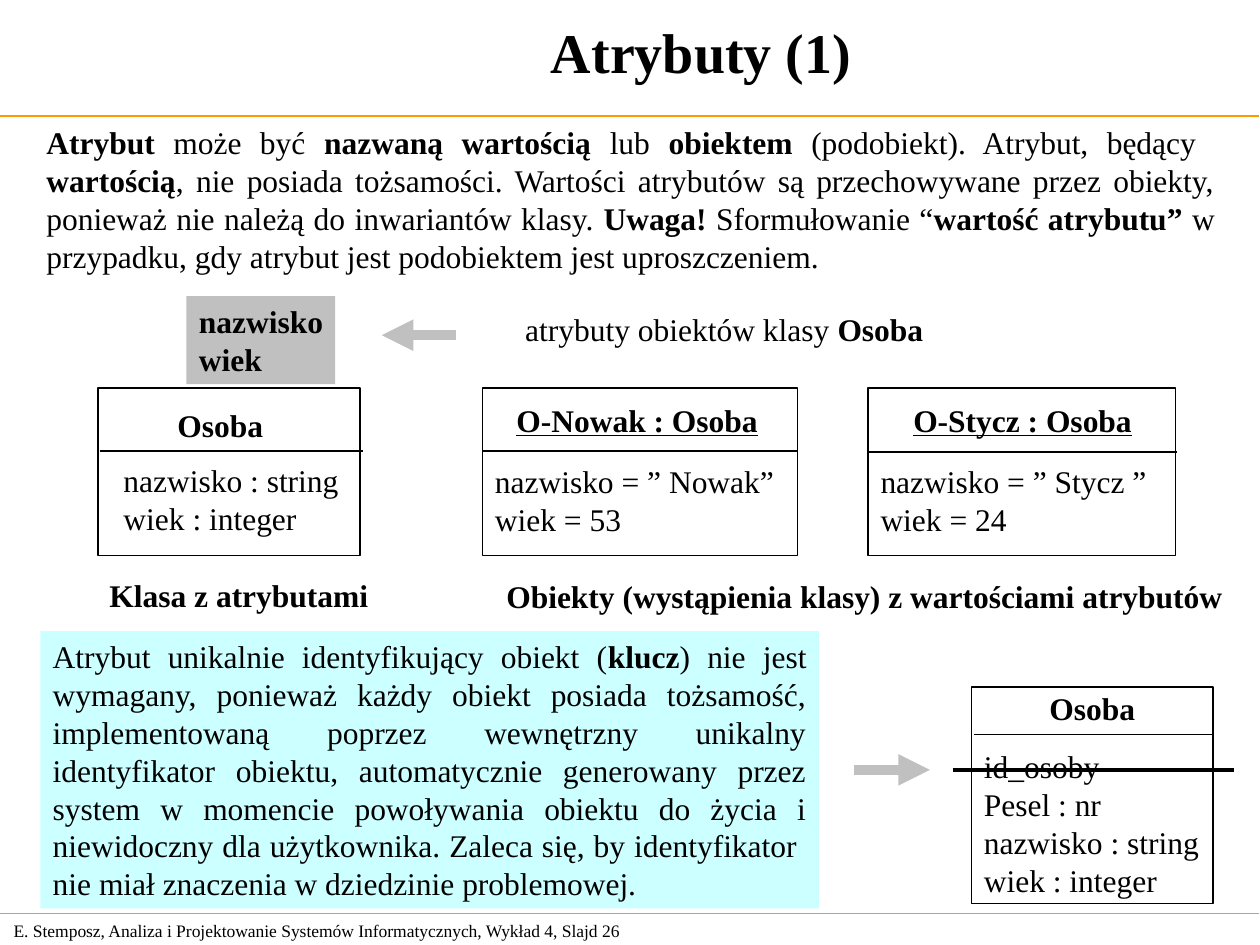
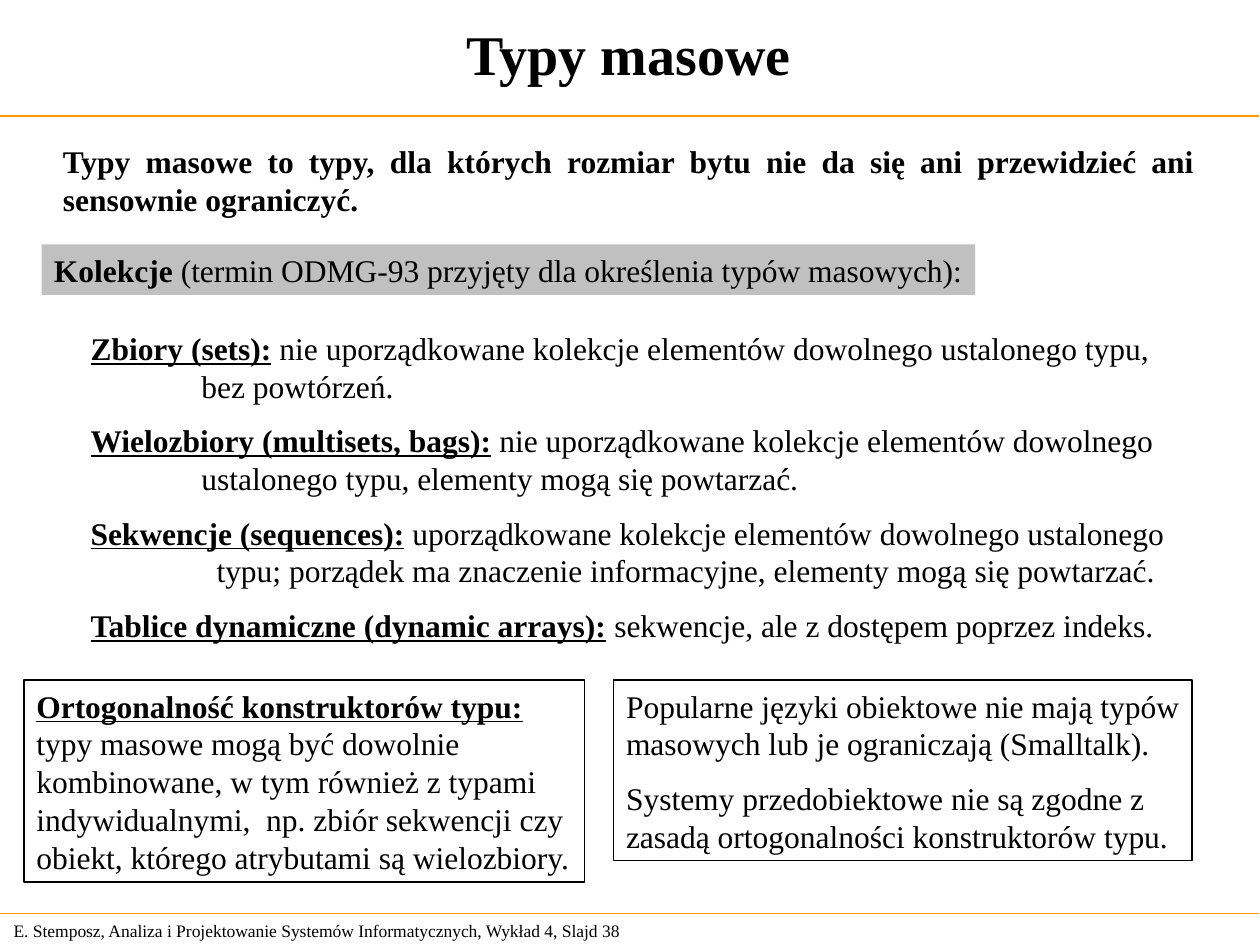
"""Builds two lecture slides on attributes and collection types."""
from lxml import etree
from pptx import Presentation
from pptx import util as u
from pptx.dml.color import RGBColor
from pptx.enum import shapes, text
from pptx.oxml.ns import qn

PX = 9144
FONT = "Times New Roman"
BLACK, ORANGE, GREY, CYAN = "000000", "FF9900", "C0C0C0", "CCFFFF"
BODY_SIZE, TITLE_SIZE, FOOTER_SIZE = 18, 32, 10
GAP = 9.5
PROSE_MARGIN = 10
JUSTIFY, CENTER = text.PP_ALIGN.JUSTIFY, text.PP_ALIGN.CENTER
MIDDLE = text.MSO_ANCHOR.MIDDLE

FOOTER = "E. Stemposz, Analiza i Projektowanie Systemów Informatycznych, Wykład 4, Slajd {}"
FOOTER_AT = (1, 725, 524, 27)
RULES = [(92, 1), (725, 0.75)]

ATTRIBUTE_INTRO = [
    ("Atrybut ", "b"), ("może być", ""), (" nazwaną wartością ", "b"), ("lub ", ""),
    ("obiektem ", "b"), ("(podobiekt). Atrybut, będący  ", ""), ("wartością", "b"),
    (", nie posiada tożsamości. Wartości atrybutów są przechowywane przez obiekty, "
     "ponieważ nie należą do inwariantów klasy. ", ""),
    ("Uwaga!", "b"), (" Sformułowanie “", ""), ("wartość atrybutu”", "b"),
    (" w przypadku, gdy atrybut jest podobiektem jest uproszczeniem.", ""),
]
KEY_NOTE = [
    ("Atrybut unikalnie identyfikujący obiekt (", ""), ("klucz", "b"),
    (") nie jest wymagany, ponieważ każdy obiekt posiada tożsamość, implementowaną "
     "poprzez wewnętrzny unikalny identyfikator obiektu, automatycznie generowany przez "
     "system w momencie powoływania obiektu do życia i niewidoczny dla użytkownika. "
     "Zaleca się, by identyfikator  nie miał znaczenia w dziedzinie problemowej.", ""),
]
ATTRIBUTE_NAMES = [[("nazwisko", "b")], [("wiek", "b")]]
ATTRIBUTE_LABEL = [("atrybuty obiektów klasy ", ""), ("Osoba", "b")]
CAPTIONS = [
    ("Klasa z atrybutami", (77, 452, 225, 40)),
    ("Obiekty (wystąpienia klasy) z wartościami atrybutów", (392, 453, 589, 40)),
]
CLASS_BOXES = [
    dict(name="Osoba", style="b", name_at=(131, 317, 88, 40), box=(78, 308, 208, 133),
         divider=(79, 358, 288), inset=(20, 58), members=["nazwisko : string", "wiek : integer"]),
    dict(name="O-Nowak : Osoba", style="bu", name_at=(400, 313, 211, 40),
         box=(383, 308, 250, 133), divider=(383, 358, 633), inset=(10, 59),
         members=["nazwisko = ” Nowak”", "wiek = 53"]),
    dict(name="O-Stycz : Osoba", style="bu", name_at=(715, 313, 193, 40),
         box=(689, 308, 244, 133), divider=(689, 359, 934), inset=(10, 59),
         members=["nazwisko = ” Stycz ”", "wiek = 24"]),
    dict(name="Osoba", style="b", name_at=(823, 542, 88, 40), box=(771, 545, 192, 172),
         divider=(773, 583, 962), inset=(10, 48),
         members=["id_osoby", "Pesel : nr", "nazwisko : string", "wiek : integer"]),
]
ARROWS = [(362, 266, 303), (678, 611, 738)]
KEY_STRIKE = (756, 611, 979)

BULK_INTRO = [("Typy masowe to typy, dla których rozmiar bytu nie da się ani przewidzieć "
               "ani sensownie ograniczyć.", "b")]
COLLECTIONS_LABEL = [("Kolekcje ", "b"),
                     ("(termin ODMG-93 przyjęty dla określenia typów masowych):", "")]
COLLECTIONS = [
    ("Zbiory (sets):", "nie uporządkowane kolekcje elementów dowolnego ustalonego typu, "
     "bez powtórzeń.", 88),
    ("Wielozbiory (multisets, bags):", "nie uporządkowane kolekcje elementów dowolnego "
     "ustalonego typu, elementy mogą się powtarzać.", 88),
    ("Sekwencje (sequences):", "uporządkowane kolekcje elementów dowolnego ustalonego "
     "typu; porządek ma znaczenie informacyjne, elementy mogą się powtarzać.", 100),
    ("Tablice dynamiczne (dynamic arrays):", "sekwencje, ale z dostępem poprzez indeks.", 88),
]
ORTHOGONALITY = [
    [("Ortogonalność konstruktorów typu:", "bu")],
    [("typy masowe mogą być dowolnie", "")],
    [("kombinowane, w tym również z typami", "")],
    [("indywidualnymi,  np. zbiór sekwencji czy", "")],
    [("obiekt, którego atrybutami są wielozbiory.", "")],
]
LANGUAGES = [
    [("Popularne języki obiektowe nie mają typów", "")],
    [("masowych lub je ograniczają (Smalltalk).", "")],
    [("Systemy przedobiektowe nie są zgodne z", "")],
    [("zasadą ortogonalności konstruktorów typu.", "")],
]


def color(hex_string):
    return RGBColor.from_string(hex_string)


def place(shape, at):
    shape.left, shape.top, shape.width, shape.height = (value * PX for value in at)


def write(shape, paragraphs, size=BODY_SIZE, align=None, anchor=None, inset=(10, 5),
          right_margin=0):
    frame = shape.text_frame
    frame.word_wrap = True
    frame.auto_size = text.MSO_AUTO_SIZE.NONE
    frame.vertical_anchor = anchor or text.MSO_ANCHOR.TOP
    frame.margin_left, frame.margin_top = inset[0] * PX, inset[1] * PX
    frame.margin_right, frame.margin_bottom = right_margin * PX, 5 * PX
    for index, runs in enumerate(paragraphs):
        paragraph = frame.add_paragraph() if index else frame.paragraphs[0]
        paragraph.alignment = align or text.PP_ALIGN.LEFT
        for content, style in runs:
            run = paragraph.add_run()
            run.text = content
            run.font.name, run.font.size = FONT, u.Pt(size)
            run.font.bold, run.font.underline = "b" in style, "u" in style
            run.font.color.rgb = color(BLACK)
    return frame


def add_text(slide, at, paragraphs, **options):
    box = slide.shapes.add_textbox(*(value * PX for value in at))
    return write(box, paragraphs, **options)


def add_box(slide, at, paragraphs, fill=None, line=None, **options):
    box = slide.shapes.add_shape(shapes.MSO_SHAPE.RECTANGLE, *(value * PX for value in at))
    box.shadow.inherit = False
    if fill:
        box.fill.solid()
        box.fill.fore_color.rgb = color(fill)
    else:
        box.fill.background()
    if line:
        box.line.color.rgb = color(line)
        box.line.width = u.Pt(1)
    else:
        box.line.fill.background()
    return write(box, paragraphs, **options)


def add_level_line(slide, start, y, end, hex_string=BLACK, width=1, arrow=False):
    line = slide.shapes.add_connector(shapes.MSO_CONNECTOR.STRAIGHT,
                                      start * PX, y * PX, end * PX, y * PX)
    line.line.color.rgb = color(hex_string)
    line.line.width = u.Pt(width)
    if arrow:
        etree.SubElement(line.line._get_or_add_ln(), qn("a:tailEnd"), type="triangle")
    etree.SubElement(line._element.spPr, qn("a:effectLst"))


def add_slide(presentation, title, title_at, number):
    slide = presentation.slides.add_slide(presentation.slide_layouts[5])
    place(slide.shapes.title, title_at)
    write(slide.shapes.title, [[(title, "b")]], size=TITLE_SIZE, align=CENTER,
          anchor=MIDDLE, right_margin=PROSE_MARGIN)
    add_text(slide, FOOTER_AT, [[(FOOTER.format(number), "")]], size=FOOTER_SIZE,
             anchor=MIDDLE)
    for y, width in RULES:
        add_level_line(slide, -1, y, 999, ORANGE, width)
    return slide


def add_class_box(slide, name, style, name_at, box, divider, inset, members):
    add_box(slide, box, [[(member, "")] for member in members], line=BLACK, inset=inset)
    add_text(slide, name_at, [[(name, style)]])
    add_level_line(slide, *divider)


def build_attributes(presentation):
    slide = add_slide(presentation, "Atrybuty (1)", (117, -2, 879, 85), 26)
    add_text(slide, (27, 93, 947, 130), [ATTRIBUTE_INTRO], align=JUSTIFY,
             right_margin=PROSE_MARGIN)
    add_box(slide, (148, 235, 118, 70), ATTRIBUTE_NAMES, fill=GREY)
    add_text(slide, (407, 241, 336, 40), [ATTRIBUTE_LABEL])
    for class_box in CLASS_BOXES:
        add_class_box(slide, **class_box)
    for caption, at in CAPTIONS:
        add_text(slide, at, [[(caption, "b")]])
    add_box(slide, (32, 501, 618, 220), [KEY_NOTE], fill=CYAN, align=JUSTIFY,
            anchor=MIDDLE, right_margin=PROSE_MARGIN)
    for arrow in ARROWS:
        add_level_line(slide, *arrow, GREY, 6, arrow=True)
    add_level_line(slide, *KEY_STRIKE, width=2)


def build_bulk_types(presentation):
    slide = add_slide(presentation, "Typy masowe", (0, 0, 998, 85), 38)
    add_text(slide, (40, 108, 918, 70), [BULK_INTRO], align=JUSTIFY, anchor=MIDDLE,
             right_margin=PROSE_MARGIN)
    add_box(slide, (33, 194, 741, 40), [COLLECTIONS_LABEL], fill=GREY)
    entries = [[(term, "bu"), (" " + meaning, "")] for term, meaning, _ in COLLECTIONS]
    frame = add_text(slide, (62, 256, 879, 260), entries, anchor=MIDDLE,
                     right_margin=PROSE_MARGIN)
    for index, (paragraph, (_, _, hang)) in enumerate(zip(frame.paragraphs, COLLECTIONS)):
        properties = paragraph._p.get_or_add_pPr()
        properties.set("marL", str(hang * PX))
        properties.set("indent", str(-hang * PX))
        if index:
            paragraph.space_before = u.Pt(GAP)
    add_box(slide, (19, 540, 445, 160), ORTHOGONALITY, line=BLACK)
    languages = add_box(slide, (487, 540, 459, 143), LANGUAGES, line=BLACK)
    languages.paragraphs[2].space_before = u.Pt(GAP)


def main():
    presentation = Presentation()
    presentation.slide_width, presentation.slide_height = 1000 * PX, 750 * PX
    build_attributes(presentation)
    build_bulk_types(presentation)
    presentation.save("out.pptx")


if __name__ == "__main__":
    main()
